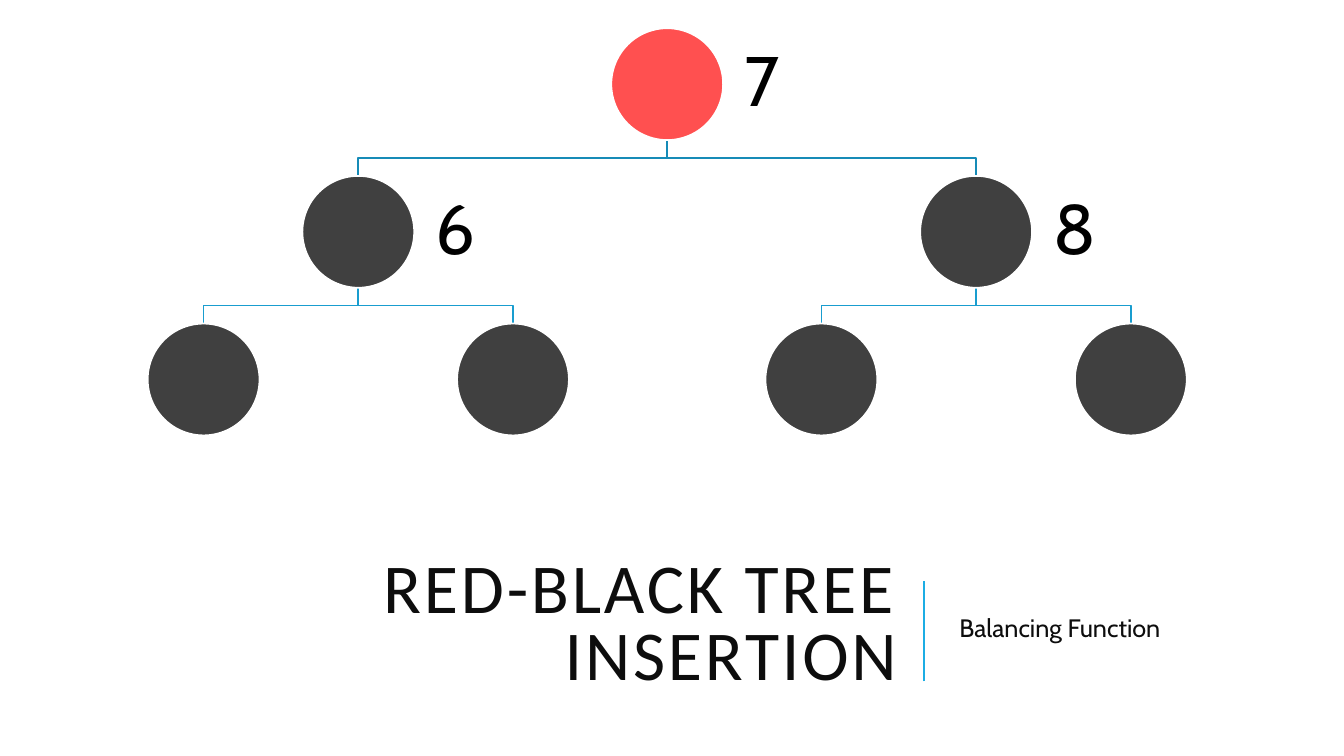
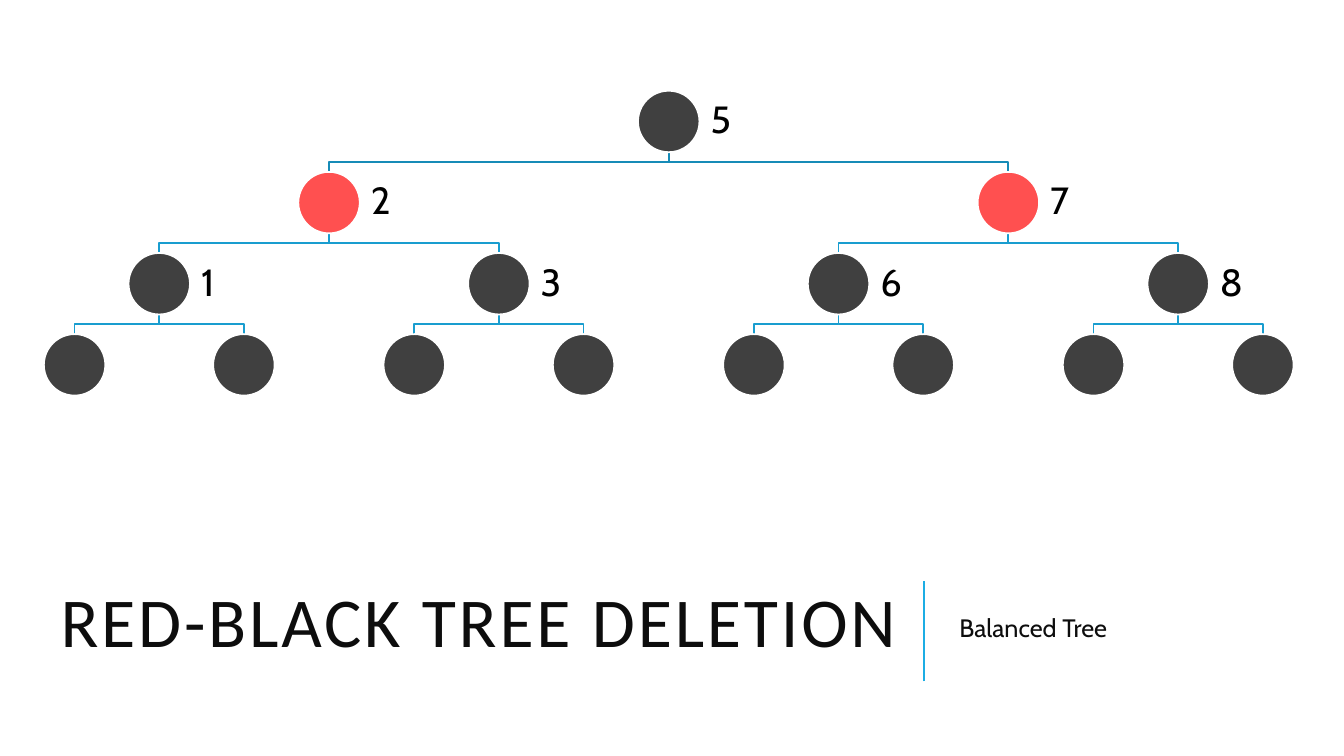
from dataclasses import dataclass

from lxml.etree import SubElement
from pptx import Presentation
from pptx.dml.color import RGBColor
from pptx.enum.shapes import MSO_CONNECTOR as Connector, MSO_SHAPE as Shape
from pptx.enum.text import MSO_ANCHOR as Anchor, PP_ALIGN as Align
from pptx.oxml.ns import qn
from pptx.util import Pt

PX = 4572  # EMU in one px, 200 px to the inch
SLIDE_W, SLIDE_H = 2667, 1500

WHITE = RGBColor(0xFF, 0xFF, 0xFF)
BLACK = RGBColor(0x00, 0x00, 0x00)
INK = RGBColor(0x0D, 0x0D, 0x0D)
NODE_RED = RGBColor(0xFF, 0x50, 0x50)
NODE_BLACK = RGBColor(0x40, 0x40, 0x40)
ACCENT = RGBColor(0x1C, 0xAD, 0xE4)
ROOT_LINK = RGBColor(0x16, 0x8B, 0xB7)
LOWER_LINK = RGBColor(0x19, 0x9D, 0xCF)

TITLE_FONT = dict(name="Calibri", size=Pt(50), color=INK)
SUBTITLE_FONT = dict(name="Cabin", size=Pt(18), color=INK)


@dataclass
class Tree:
    """Rows of keys above one row of empty leaves."""
    rows: list
    red_keys: str
    center: int
    top: int
    diameter: int
    row_step: int
    leaf_step: int
    key_size: int
    key_inset: int

    @property
    def levels(self):
        return [*self.rows, [""] * 2 ** len(self.rows)]

    def node_at(self, level, index):
        """Centre x and top y of a node."""
        count = 2 ** level
        step = self.leaf_step * 2 ** len(self.rows) / count
        x = self.center + (index - (count - 1) / 2) * step
        return round(x), self.top + level * self.row_step


def emu(*lengths):
    return [length * PX for length in lengths]


def set_line(shape, color, width):
    shape.line.color.rgb = color
    shape.line.width = Pt(width)


def add_text(slide, box, text, font, align=Align.LEFT, spacing=1.0,
             inset=None, tracking=None):
    frame = slide.shapes.add_textbox(*emu(*box)).text_frame
    frame_format = dict(word_wrap=True, vertical_anchor=Anchor.MIDDLE)
    if inset is not None:
        for side in ("left", "top", "right", "bottom"):
            frame_format[f"margin_{side}"] = inset * PX
    for name, value in frame_format.items():
        setattr(frame, name, value)
    paragraph = frame.paragraphs[0]
    paragraph.alignment = align
    paragraph.line_spacing = spacing
    run = paragraph.add_run()
    run.text = text
    for name, value in font.items():
        if name == "color":
            run.font.color.rgb = value
        else:
            setattr(run.font, name, value)
    if tracking:
        run.font._element.set("spc", str(tracking * 100))


def add_heading(slide, title, subtitle):
    divider = slide.shapes.add_connector(
        Connector.STRAIGHT, *emu(1834, 1352, 1834, 1152))
    set_line(divider, ACCENT, 1.5)
    SubElement(divider._element.spPr, qn("a:effectLst"))
    add_text(slide, (100, 1084, 1700, 320), title, TITLE_FONT,
             align=Align.RIGHT, spacing=0.8, tracking=2)
    add_text(slide, (1884, 1084, 700, 320), subtitle, SUBTITLE_FONT)


def add_link(slide, start, end, color):
    """Elbow from the bottom of a parent to the top of its child."""
    (x1, y1), (x2, y2) = start, end
    middle = (y1 + y2) // 2
    builder = slide.shapes.build_freeform(x1, y1, scale=PX)
    builder.add_line_segments([(x1, middle), (x2, middle), (x2, y2)],
                              close=False)
    link = builder.convert_to_shape()
    link.shadow.inherit = False
    link.fill.background()
    set_line(link, color, 1.25)


def add_node(slide, tree, key, center, top):
    size = tree.diameter
    left = center - size // 2
    node = slide.shapes.add_shape(Shape.OVAL, *emu(left, top, size, size))
    node.shadow.inherit = False
    node.fill.solid()
    is_red = key and key in tree.red_keys
    node.fill.fore_color.rgb = NODE_RED if is_red else NODE_BLACK
    set_line(node, WHITE, 1.25)
    if key:
        font = dict(name="Cabin", size=Pt(tree.key_size), color=BLACK)
        add_text(slide, (left + size, top, size * 3 // 2, size), key, font,
                 spacing=0.9, inset=tree.key_inset)


def add_tree(slide, tree):
    # Links lie behind the nodes
    for level, keys in enumerate(tree.levels[1:], start=1):
        color = ROOT_LINK if level == 1 else LOWER_LINK
        for index in range(len(keys)):
            x, y = tree.node_at(level - 1, index // 2)
            add_link(slide, (x, y + tree.diameter),
                     tree.node_at(level, index), color)
    for level, keys in enumerate(tree.levels):
        for index, key in enumerate(keys):
            add_node(slide, tree, key, *tree.node_at(level, index))


INSERTION = Tree(rows=["7", "68"], red_keys="7", center=1324, top=56,
                 diameter=222, row_step=293, leaf_step=613,
                 key_size=50, key_inset=42)
DELETION = Tree(rows=["5", "27", "1368"], red_keys="27", center=1327, top=180,
                diameter=122, row_step=161, leaf_step=337,
                key_size=27, key_inset=22)

SLIDES = [
    ("RED-BLACK TREE INSERTION", "Balancing Function", INSERTION),
    ("RED-BLACK TREE DELETION", "Balanced Tree", DELETION),
]


def main():
    deck = Presentation()
    deck.slide_width, deck.slide_height = emu(SLIDE_W, SLIDE_H)
    for title, subtitle, tree in SLIDES:
        slide = deck.slides.add_slide(deck.slide_layouts[6])
        add_heading(slide, title, subtitle)
        add_tree(slide, tree)
    deck.save("out.pptx")


if __name__ == "__main__":
    main()
